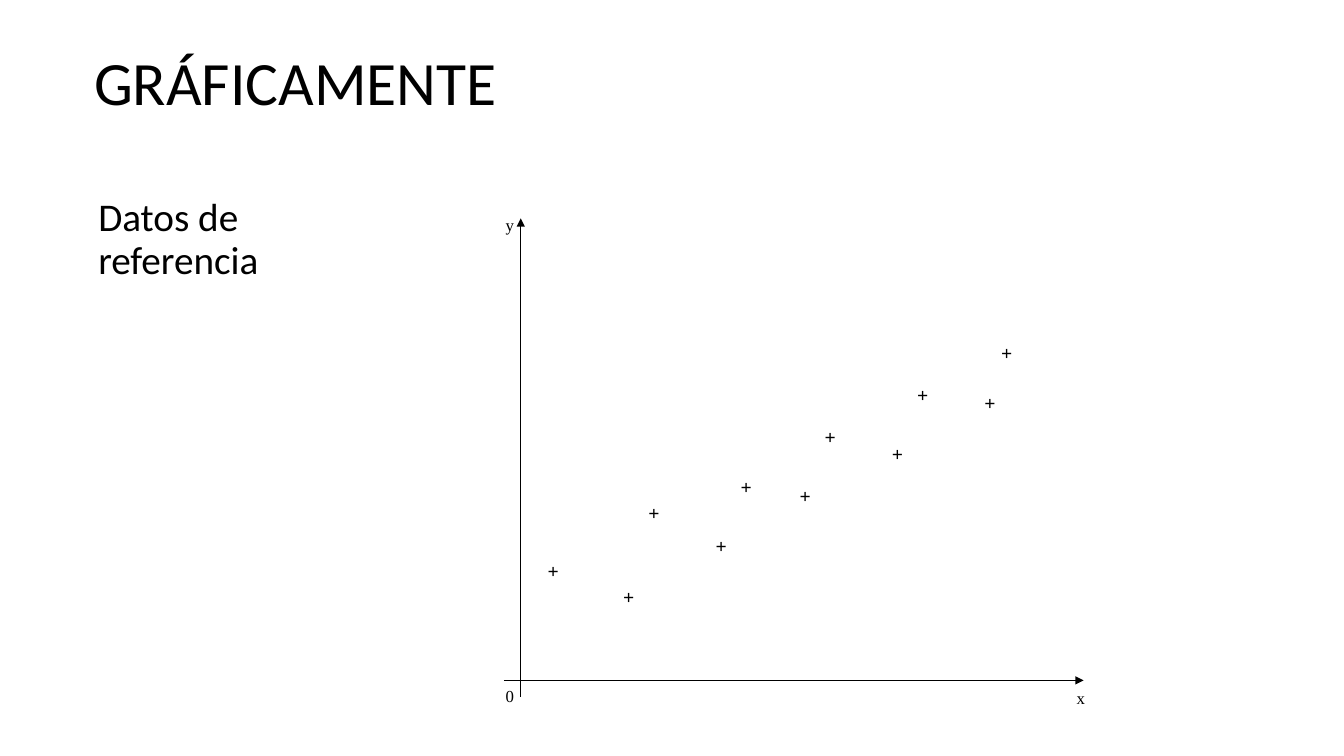
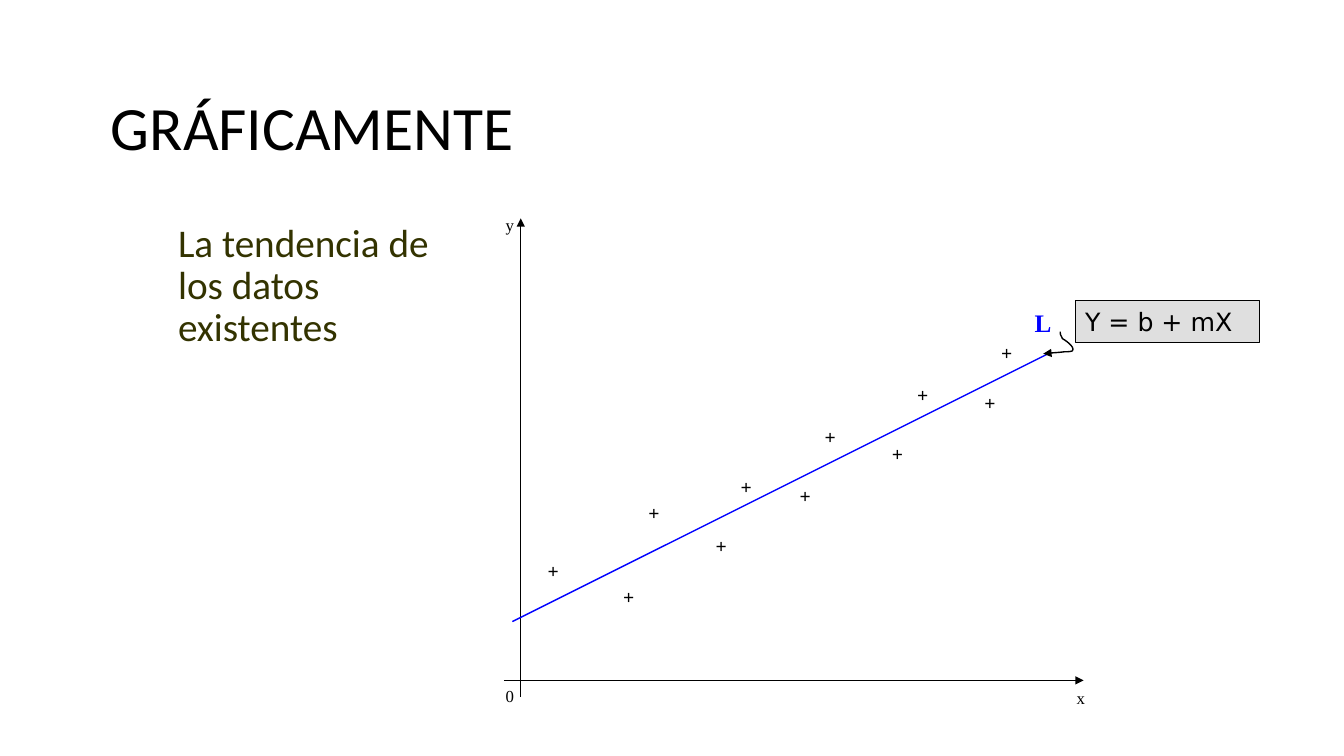
from lxml import etree
from pptx import Presentation
from pptx.dml.color import RGBColor
from pptx.enum.shapes import MSO_CONNECTOR, MSO_SHAPE
from pptx.enum.text import MSO_ANCHOR, MSO_AUTO_SIZE, PP_ALIGN
from pptx.oxml.ns import qn
from pptx.util import Pt

STRAIGHT = MSO_CONNECTOR.STRAIGHT
RECTANGLE = MSO_SHAPE.RECTANGLE
LEFT = PP_ALIGN.LEFT
TOP, MIDDLE = MSO_ANCHOR.TOP, MSO_ANCHOR.MIDDLE
NO_RESIZE = MSO_AUTO_SIZE.NONE

BLACK, BLUE, OLIVE, GRAY = "000000", "0000FF", "333300", "C0C0C0"
SANS, SERIF, FORMULA_FONT = "Calibri", "Times New Roman", "DejaVu Sans"
TITLE = "GRÁFICAMENTE"
PLOT_ORIGIN = (354, 150)
MARKERS = [(30, 246), (84, 264), (102, 204), (150, 228), (168, 186), (210, 192),
           (228, 150), (276, 162), (294, 120), (342, 126), (354, 90)]
AXIS_LABELS = [("0", 0, 336), ("x", 408, 338), ("y", 0, 150 - 150)]
POINTER_START = (391.2, 102.7)
POINTER_CURVES = [
    ((396.2, 102), (401.3, 102), (406.3, 101.3)),
    ((407.8, 101.3), (410.6, 101.3), (412.1, 100.6)),
    ((414.2, 97.7), (406.3, 92.6), (404.9, 91.9)),
    ((403.4, 88.3), (403.4, 89.8), (403.4, 86.9)),
]
CURVE_STEPS = 8


def color(value):
    return RGBColor.from_string(value)


def place(shape, left, top, width, height):
    shape.left, shape.top = Pt(left), Pt(top)
    shape.width, shape.height = Pt(width), Pt(height)


def write(shape, text, font, size, ink=BLACK, bold=False, anchor=TOP, spacing=1.0):
    frame = shape.text_frame
    frame.text = text
    frame.word_wrap = True
    frame.auto_size = NO_RESIZE
    frame.vertical_anchor = anchor
    paragraph = frame.paragraphs[0]
    paragraph.alignment = LEFT
    paragraph.line_spacing = spacing
    for run in paragraph.runs:
        run.font.name = font
        run.font.size = Pt(size)
        run.font.bold = bold
        run.font.color.rgb = color(ink)


def add_label(shapes, text, left, top, width, height, size, **style):
    label = shapes.add_textbox(Pt(left), Pt(top), Pt(width), Pt(height))
    write(label, text, SERIF, size, **style)


def style_line(line, ink, width=1, arrow_end=None):
    line.color.rgb = color(ink)
    line.width = Pt(width)
    if arrow_end:
        stroke = line._get_or_add_ln()
        etree.SubElement(stroke, qn(f"a:{arrow_end}")).set("type", "triangle")


def add_line(shapes, start, end, ink=BLACK, arrow_end=None):
    connector = shapes.add_connector(STRAIGHT, *(Pt(n) for n in (*start, *end)))
    style_line(connector.line, ink, arrow_end=arrow_end)
    etree.SubElement(connector._element.spPr, qn("a:effectLst"))


def add_titled_slide(deck, left, top):
    slide = deck.slides.add_slide(deck.slide_layouts[5])
    title = slide.shapes.title
    place(title, left, top, 816, 90)
    write(title, TITLE, SANS, 44, anchor=MIDDLE, spacing=0.9)
    return slide


def add_statement(slide, text, left, top, width, ink):
    statement = slide.shapes.add_textbox(Pt(left), Pt(top), Pt(width), Pt(324))
    write(statement, text, SANS, 28, ink=ink, spacing=0.9)
    statement.text_frame.margin_left = Pt(25.2)


def add_scatter(shapes, left, top):
    add_line(shapes, (left + 18, top + 6), (left + 18, top + 348), arrow_end="headEnd")
    add_line(shapes, (left + 6, top + 336), (left + 420, top + 336), arrow_end="tailEnd")
    for x, y in MARKERS:
        add_label(shapes, "+", left + x, top + y, 24, 24, 14, bold=True)
    for text, x, y in AXIS_LABELS:
        add_label(shapes, text, left + x, top + y, 24, 21.6, 12)


def curve_points(start, curves):
    for first, second, end in curves:
        for step in range(1, CURVE_STEPS + 1):
            t = step / CURVE_STEPS
            u = 1 - t
            yield tuple(u**3 * a + 3 * u * u * t * b + 3 * u * t * t * c + t**3 * d
                        for a, b, c, d in zip(start, first, second, end))
        start = end


def add_pointer(shapes, left, top):
    x, y = POINTER_START
    outline = shapes.build_freeform(Pt(left + x), Pt(top + y))
    outline.add_line_segments([(Pt(left + px), Pt(top + py)) for px, py
                               in curve_points(POINTER_START, POINTER_CURVES)], close=False)
    pointer = outline.convert_to_shape()
    pointer.shadow.inherit = False
    pointer.fill.background()
    style_line(pointer.line, BLACK, arrow_end="headEnd")


def add_formula(shapes, left, top):
    formula = shapes.add_shape(RECTANGLE, Pt(left), Pt(top), Pt(132), Pt(30))
    formula.shadow.inherit = False
    formula.fill.solid()
    formula.fill.fore_color.rgb = color(GRAY)
    fill_color = formula._element.spPr.find(f"{qn('a:solidFill')}/{qn('a:srgbClr')}")
    etree.SubElement(fill_color, qn("a:alpha")).set("val", "50000")
    style_line(formula.line, BLACK, 0.75)
    write(formula, "Y = b + mX", FORMULA_FONT, 18, anchor=MIDDLE)


def add_trend(shapes, left, top):
    add_line(shapes, (left + 12, top + 294), (left + 396, top + 102), BLUE)
    add_label(shapes, "L", left + 378, top + 66, 42, 28.8, 18, ink=BLUE, bold=True)
    add_pointer(shapes, left, top)
    add_formula(shapes, left + 414, top + 64.5)


def build_data_slide(deck):
    slide = add_titled_slide(deck, 60, 16)
    add_statement(slide, "Datos de referencia", 45, 138, 238, BLACK)
    add_scatter(slide.shapes.add_group_shape().shapes, *PLOT_ORIGIN)


def build_trend_slide(deck):
    slide = add_titled_slide(deck, 72, 48)
    add_statement(slide, "La tendencia de los datos existentes", 102, 156, 246, OLIVE)
    add_scatter(slide.shapes, *PLOT_ORIGIN)
    add_trend(slide.shapes, *PLOT_ORIGIN)


def main():
    deck = Presentation()
    deck.slide_width, deck.slide_height = Pt(960), Pt(540)
    build_data_slide(deck)
    build_trend_slide(deck)
    deck.save("out.pptx")


if __name__ == "__main__":
    main()
